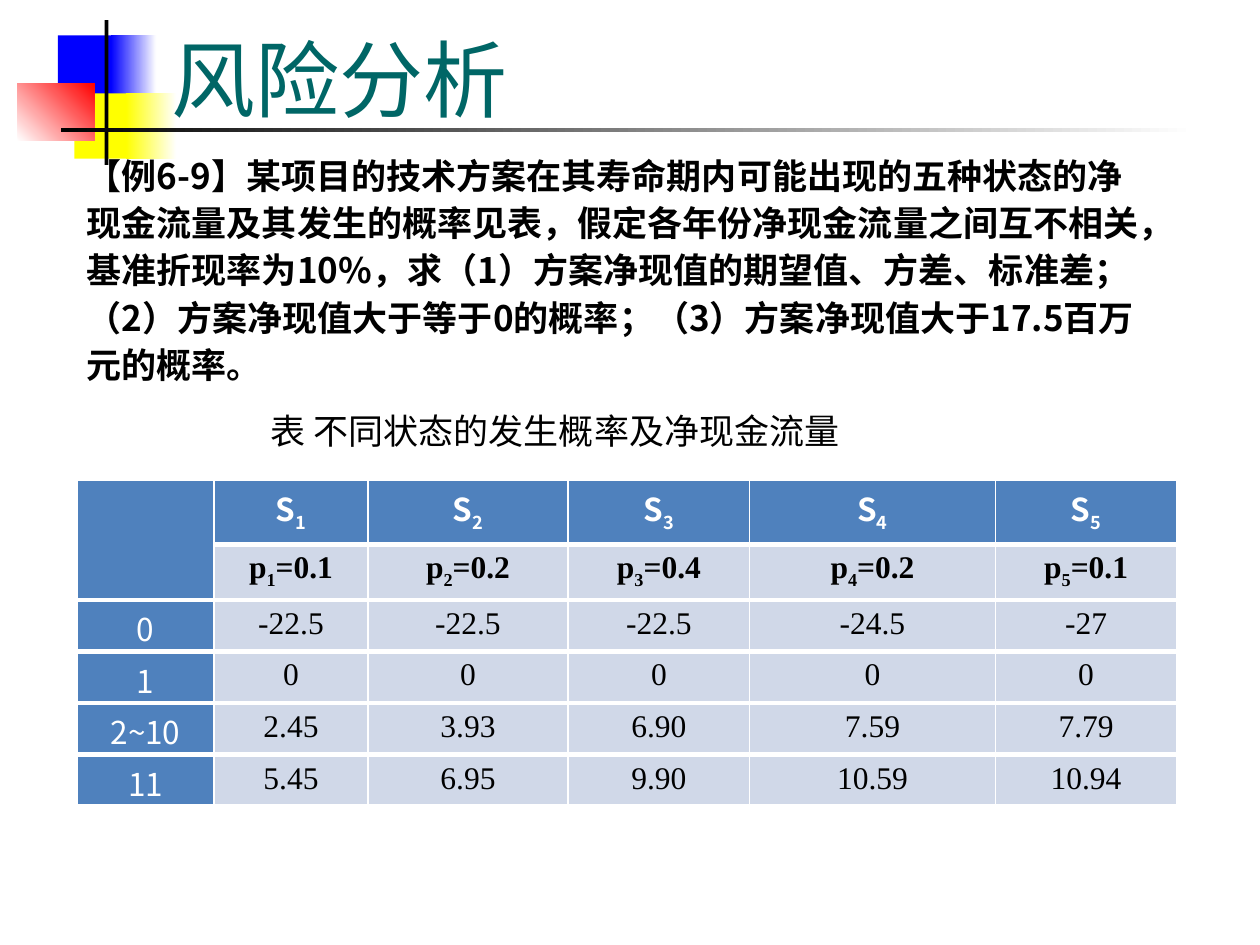
from lxml.etree import SubElement
from pptx import Presentation
from pptx.dml.color import RGBColor as RGB
from pptx.enum.shapes import MSO_SHAPE as Shape
from pptx.enum.text import MSO_ANCHOR as Anchor, PP_ALIGN as Align
from pptx.oxml.ns import qn
from pptx.util import Pt

TITLE = "风险分析"
BODY = ("【例6-9】某项目的技术方案在其寿命期内可能出现的五种状态的净现金流量"
        "及其发生的概率见表，假定各年份净现金流量之间互不相关，基准折现率为10%，"
        "求（1）方案净现值的期望值、方差、标准差；（2）方案净现值大于等于0的概率；"
        "（3）方案净现值大于17.5百万元的概率。")
CAPTION = "表 不同状态的发生概率及净现金流量"

# An underscore lowers the one character after it
ROWS = [
    ["", "S_1", "S_2", "S_3", "S_4", "S_5"],
    ["", "p_1=0.1", "p_2=0.2", "p_3=0.4", "p_4=0.2", "p_5=0.1"],
    ["0", "-22.5", "-22.5", "-22.5", "-24.5", "-27"],
    ["1", "0", "0", "0", "0", "0"],
    ["2~10", "2.45", "3.93", "6.90", "7.59", "7.79"],
    ["11", "5.45", "6.95", "9.90", "10.59", "10.94"],
]
WIDTHS = [78.5, 87.8, 114.5, 103.7, 140.4, 103.7]
HEIGHTS = [36.7] + [29.5] * 5

THEME = {
    "sans": "Noto Sans CJK SC", "serif": "Times New Roman",
    "title": 48, "text": 20, "cell": 18, "line": 27,
    "teal": "006666", "black": "000000", "white": "FFFFFF",
    "blue": "0000FF", "yellow": "FFFF00", "red": "FF0000",
    "head": "4F81BD", "pale": "D0D8E8",
}

# Box, colours (two make a gradient), gradient angle
DECOR = [
    ((33.1, 20.2, 34.6, 37.4), ["blue"], 0),
    ((63.4, 20.2, 25.9, 37.4), ["blue", "white"], 0),
    ((42.5, 53.3, 33.1, 37.4), ["yellow"], 0),
    ((72, 53.3, 28.8, 37.4), ["yellow", "white"], 0),
    ((10.1, 47.5, 43.9, 33.1), ["white", "red"], 45),
    ((59.8, 11.5, 2.2, 82.8), ["black"], 0),
    ((34.6, 73.4, 648, 2.2), ["black", "white"], 0),
]


def color(name):
    return RGB.from_string(THEME[name])


def place(box):
    return [Pt(v) for v in box]


def style(para, size, face, tint, bold=False):
    font = para.font
    font.size, font.name, font.bold = Pt(THEME[size]), THEME[face], bold
    font.color.rgb = color(tint)
    base = para._p.pPr.find(qn("a:defRPr"))
    SubElement(base, qn("a:ea")).set("typeface", THEME["sans"])


def add_block(slide, box, fills, angle):
    block = slide.shapes.add_shape(Shape.RECTANGLE, *place(box))
    block.shadow.inherit = False
    block.line.fill.background()
    if len(fills) == 1:
        block.fill.solid()
        block.fill.fore_color.rgb = color(fills[0])
    else:
        block.fill.gradient()
        block.fill.gradient_angle = angle
        for stop, name in zip(block.fill.gradient_stops, fills):
            stop.color.rgb = color(name)


def add_text(slide, box, text, look, anchor=Anchor.TOP, line=None):
    frame = slide.shapes.add_textbox(*place(box)).text_frame
    frame.word_wrap = True
    frame.vertical_anchor = anchor
    para = frame.paragraphs[0]
    para.text = text
    if line:
        para.line_spacing = Pt(line)
    style(para, *look)


def add_runs(para, text):
    """Write text, lowering each character that follows an underscore."""
    first, *rest = text.split("_")
    para.add_run().text = first
    for part in rest:
        low = para.add_run()
        low.text = part[0]
        low._r.get_or_add_rPr().set("baseline", "-25000")
        if part[1:]:
            para.add_run().text = part[1:]


def add_edges(cell, top):
    props = cell._tc.get_or_add_tcPr()
    edges = [("L", 1), ("R", 1), ("T", top), ("B", 3)]
    for spot, (side, width) in enumerate(edges):
        edge = SubElement(props, qn(f"a:ln{side}"), w=str(Pt(width)))
        fill = SubElement(edge, qn("a:solidFill"))
        SubElement(fill, qn("a:srgbClr"), val=THEME["white"])
        props.insert(spot, edge)


def add_grid(slide, left, top):
    box = (left, top, sum(WIDTHS), sum(HEIGHTS))
    grid = slide.shapes.add_table(len(ROWS), len(WIDTHS), *place(box)).table
    grid.first_row = grid.horz_banding = False
    for col, width in zip(grid.columns, WIDTHS):
        col.width = Pt(width)
    for row, height in zip(grid.rows, HEIGHTS):
        row.height = Pt(height)
    for r, row in enumerate(ROWS):
        for c, text in enumerate(row):
            cell = grid.cell(r, c)
            head = r == 0 or c == 0
            cell.fill.solid()
            cell.fill.fore_color.rgb = color("head" if head else "pale")
            add_edges(cell, 1 if r == 0 else 3)
            if head:  # the taller sans line needs a tighter cell
                cell.margin_top, cell.margin_bottom = Pt(3), Pt(0)
            para = cell.text_frame.paragraphs[0]
            para.alignment = Align.CENTER
            if text:
                add_runs(para, text)
            face, tint = ("sans", "white") if head else ("serif", "black")
            style(para, "cell", face, tint, r < 2)
    grid.cell(0, 0).merge(grid.cell(1, 0))


def main():
    deck = Presentation()
    deck.slide_width, deck.slide_height = Pt(720), Pt(540)
    slide = deck.slides.add_slide(deck.slide_layouts[6])
    for item in DECOR:
        add_block(slide, *item)
    add_text(slide, (42.5, 82.1, 623.5, 141.1), BODY,
             ("text", "sans", "black", True), Anchor.MIDDLE, THEME["line"])
    add_text(slide, (147.6, 227.5, 414, 31.7), CAPTION,
             ("text", "sans", "black"), line=THEME["line"])
    add_grid(slide, 43.9, 274.3)
    add_text(slide, (90.7, 11.5, 613.4, 66.2), TITLE,
             ("title", "serif", "teal"), Anchor.MIDDLE)
    deck.save("out.pptx")


if __name__ == "__main__":
    main()
